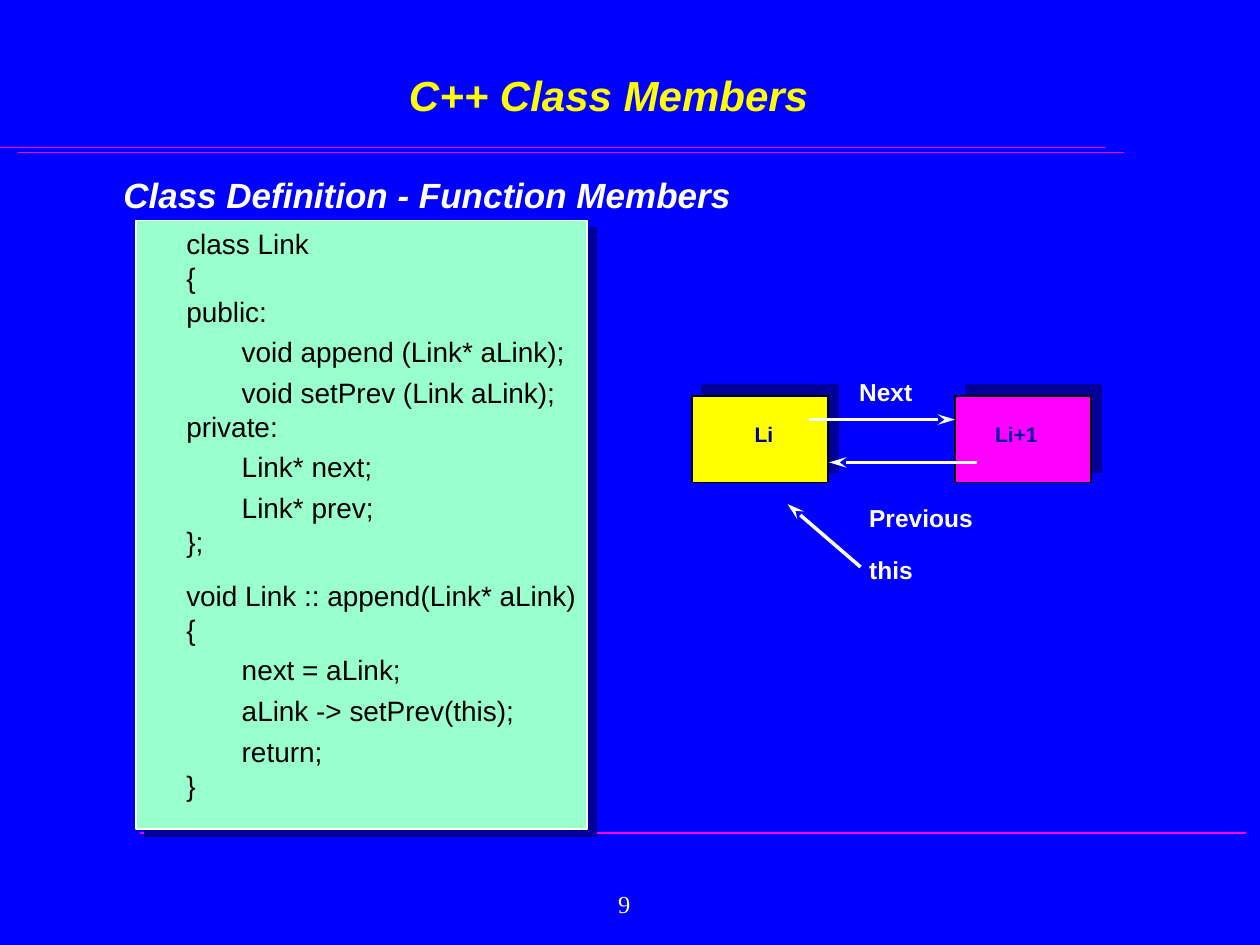
from dataclasses import dataclass

from lxml import etree
from pptx import Presentation
from pptx.dml.color import RGBColor
from pptx.enum.shapes import MSO_CONNECTOR, MSO_SHAPE
from pptx.enum.text import MSO_ANCHOR, MSO_AUTO_SIZE, PP_ALIGN
from pptx.oxml.ns import qn
from pptx.util import Inches, Pt

RECTANGLE = MSO_SHAPE.RECTANGLE
STRAIGHT = MSO_CONNECTOR.STRAIGHT
LEFT, CENTER = PP_ALIGN.LEFT, PP_ALIGN.CENTER
TOP, MIDDLE, BOTTOM = MSO_ANCHOR.TOP, MSO_ANCHOR.MIDDLE, MSO_ANCHOR.BOTTOM
FIT_TEXT, FIXED = MSO_AUTO_SIZE.SHAPE_TO_FIT_TEXT, MSO_AUTO_SIZE.NONE

COLORS = {
    "background": "0000FF",
    "magenta": "FF00FF",
    "yellow": "FFFF00",
    "mint": "99FFCC",
    "white": "FFFFFF",
    "black": "000000",
    "navy": "000099",
}


@dataclass
class Box:
    left: float
    top: float
    width: float
    height: float
    fill: str
    outline: str
    shadow_distance: float
    shadow_angle: int


@dataclass
class Label:
    text: str
    left: float
    top: float
    width: float
    height: float
    size: int
    color: str
    bold: bool = True
    italic: bool = False
    font: str = "Arial"
    align: PP_ALIGN = LEFT
    anchor: MSO_ANCHOR = TOP
    wrap: bool = False


@dataclass
class Line:
    start: tuple[float, float]
    end: tuple[float, float]
    color: str = "magenta"
    width: float = 1
    arrow: bool = False


@dataclass
class CodeLine:
    text: str
    indent: float = 0.5
    spacing: float = 0.8


def rgb(name: str) -> RGBColor:
    return RGBColor.from_string(COLORS[name])


def format_runs(paragraph, size: int, color: str, bold: bool, italic: bool, font: str) -> None:
    for run in paragraph.runs:
        run.font.name = font
        run.font.size = Pt(size)
        run.font.bold = bold
        run.font.italic = italic
        run.font.color.rgb = rgb(color)


def add_box(slide, box: Box) -> None:
    shape = slide.shapes.add_shape(
        RECTANGLE, Inches(box.left), Inches(box.top), Inches(box.width), Inches(box.height))
    shape.fill.solid()
    shape.fill.fore_color.rgb = rgb(box.fill)
    shape.line.color.rgb = rgb(box.outline)
    shape.line.width = Pt(1)
    # Hard offset shadow
    shape.shadow.inherit = False
    effects = shape._element.spPr.find(qn("a:effectLst"))
    shadow = etree.SubElement(
        effects, qn("a:outerShdw"), blurRad="0", dist=str(Pt(box.shadow_distance)),
        dir=str(box.shadow_angle * 60000), algn="ctr", rotWithShape="0")
    etree.SubElement(shadow, qn("a:srgbClr"), val=COLORS["navy"])


def add_label(slide, label: Label):
    shape = slide.shapes.add_textbox(
        Inches(label.left), Inches(label.top), Inches(label.width), Inches(label.height))
    text_frame = shape.text_frame
    text_frame.text = label.text
    text_frame.word_wrap = label.wrap
    text_frame.auto_size = FIXED if label.wrap else FIT_TEXT
    text_frame.vertical_anchor = label.anchor
    paragraph = text_frame.paragraphs[0]
    paragraph.alignment = label.align
    format_runs(paragraph, label.size, label.color, label.bold, label.italic, label.font)
    return text_frame


def add_line(slide, line: Line) -> None:
    connector = slide.shapes.add_connector(
        STRAIGHT, *(Inches(value) for value in line.start + line.end))
    connector.line.color.rgb = rgb(line.color)
    connector.line.width = Pt(line.width)
    if line.arrow:
        etree.SubElement(connector.line._get_or_add_ln(), qn("a:tailEnd"),
                         type="stealth", w="med", len="lg")
    etree.SubElement(connector._element.spPr, qn("a:effectLst"))


def add_code(text_frame, lines: list[CodeLine]) -> None:
    for line in lines:
        paragraph = text_frame.add_paragraph()
        paragraph.text = line.text
        paragraph._p.get_or_add_pPr().set("marL", str(Inches(line.indent)))
        paragraph.line_spacing = line.spacing
        paragraph.space_before = Pt(4)
        format_runs(paragraph, 16, "black", False, False, "Arial")


def statement(text: str) -> CodeLine:
    return CodeLine(text, indent=0.94, spacing=1.0)


RULES = [
    Line((0, 1.17), (8.78, 1.17)),
    Line((0.14, 1.21), (8.92, 1.21)),
    Line((1.11, 6.61), (9.89, 6.61)),
]
CODE_PANEL = Box(1.08, 1.75, 3.58, 4.83, "mint", "white", 6.4, 39)
TITLE = Label("C++ Class Members", 0.58, 0.33, 8.5, 0.67, 24, "yellow",
              italic=True, align=CENTER, anchor=BOTTOM, wrap=True)
HEADING = Label("Class Definition - Function Members", 0.88, 1.33, 8.45, 5.08, 20,
                "white", italic=True, wrap=True)
PAGE_NUMBER = Label("9", 4.58, 6.92, 0.75, 0.5, 14, "white", bold=False,
                    font="Times New Roman", align=CENTER, anchor=MIDDLE, wrap=True)
CODE = [
    CodeLine("class Link"),
    CodeLine("{"),
    CodeLine("public:"),
    statement("void append (Link* aLink);"),
    statement("void setPrev (Link aLink);"),
    CodeLine("private:"),
    statement("Link* next;"),
    statement("Link* prev;"),
    CodeLine("};"),
    CodeLine("void Link :: append(Link* aLink)", spacing=1.4),
    CodeLine("{"),
    statement("next = aLink;"),
    statement("aLink -> setPrev(this);"),
    statement("return;"),
    CodeLine("}"),
]
NODES = [
    Box(left, 3.14, 1.08, 0.69, fill, "black", 8.5, 315)
    for left, fill in ((5.49, "yellow"), (7.58, "magenta"))
]
ARROWS = [
    Line(start, end, "white", 2, arrow=True)
    for start, end in (
        ((6.42, 3.33), (7.58, 3.33)),
        ((7.75, 3.67), (6.58, 3.67)),
        ((6.83, 4.5), (6.25, 4)),
    )
]
DIAGRAM_LABELS = [
    Label("Li", 5.89, 3.3, 0.35, 0.3, 12, "navy"),
    Label("Li+1", 7.8, 3.3, 0.54, 0.3, 12, "navy"),
    Label("Next", 6.72, 2.94, 0.63, 0.33, 14, "white"),
    Label("Previous", 6.8, 3.94, 1.03, 0.33, 14, "white"),
    Label("this", 6.8, 4.36, 0.55, 0.33, 14, "white"),
]


def main() -> None:
    presentation = Presentation()
    presentation.slide_width, presentation.slide_height = Inches(10), Inches(7.5)
    slide = presentation.slides.add_slide(presentation.slide_layouts[6])
    slide.background.fill.solid()
    slide.background.fill.fore_color.rgb = rgb("background")

    # Rules, title and code panel
    for rule in RULES:
        add_line(slide, rule)
    add_box(slide, CODE_PANEL)
    add_label(slide, TITLE)
    body = add_label(slide, HEADING)
    body.paragraphs[0].space_after = Pt(6)
    add_code(body, CODE)

    # Linked list diagram
    for node in NODES:
        add_box(slide, node)
    for arrow in ARROWS:
        add_line(slide, arrow)
    for label in DIAGRAM_LABELS:
        add_label(slide, label)

    add_label(slide, PAGE_NUMBER)
    presentation.save("out.pptx")


if __name__ == "__main__":
    main()
